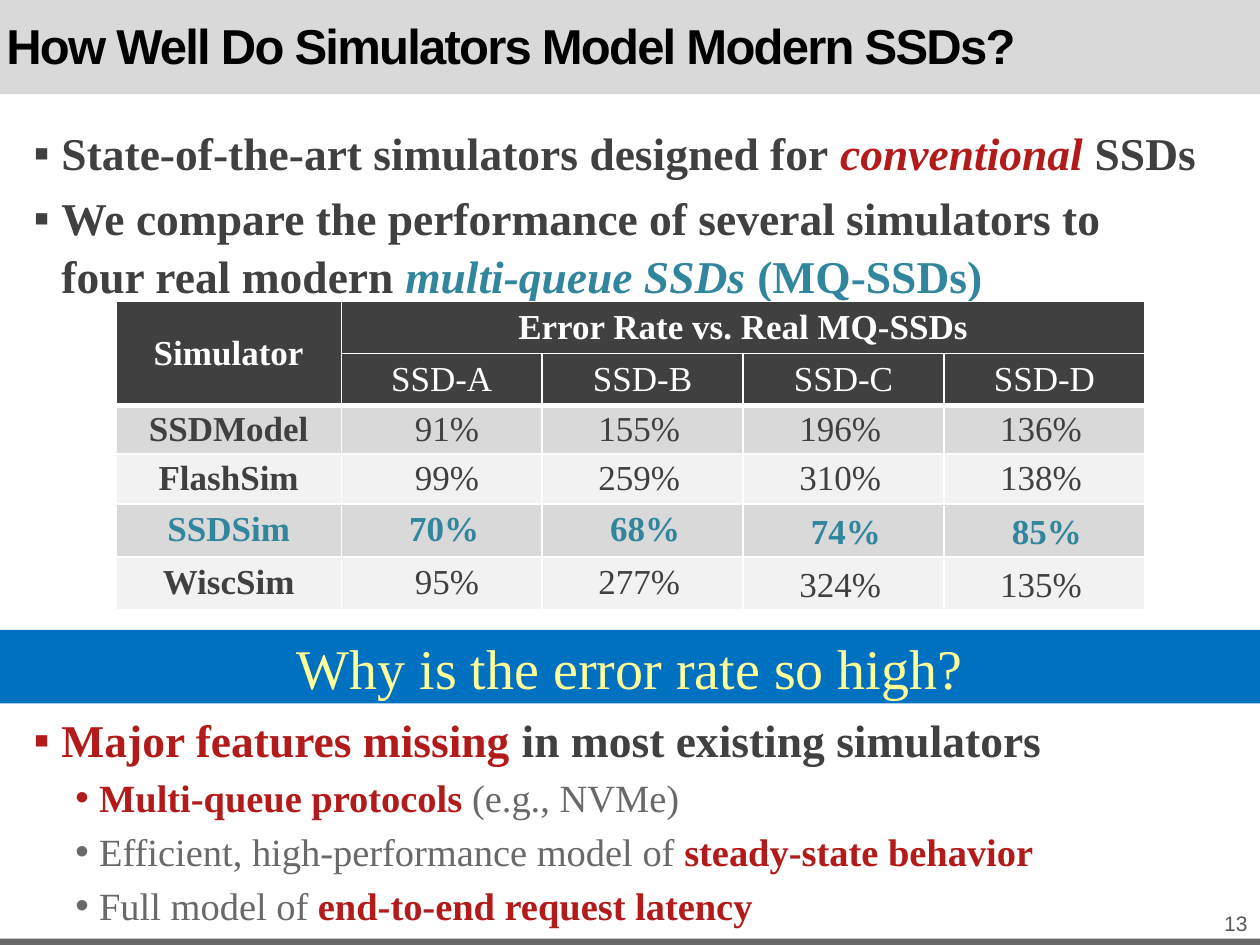
from lxml import etree
from pptx import Presentation
from pptx.dml.color import RGBColor
from pptx.enum.shapes import MSO_SHAPE
from pptx.enum.text import MSO_ANCHOR, PP_ALIGN
from pptx.oxml.ns import qn
from pptx.util import Cm, Pt

RECTANGLE = MSO_SHAPE.RECTANGLE
MIDDLE, TOP = MSO_ANCHOR.MIDDLE, MSO_ANCHOR.TOP
LEFT, CENTER, RIGHT = PP_ALIGN.LEFT, PP_ALIGN.CENTER, PP_ALIGN.RIGHT
SERIF, SANS = "Times New Roman", "Arial"
DARK, GRAY, RED, TEAL, WHITE = "404040", "696969", "B31B1B", "31859C", "FFFFFF"
LIGHT, PALE = "D9D9D9", "F2F2F2"
rgb = RGBColor.from_string


def add_run(paragraph, text, color, **font_format):
    run = paragraph.add_run()
    run.text = text
    run.font.color.rgb = rgb(color)
    for name, value in {"name": SERIF, **font_format}.items():
        setattr(run.font, name, value)
    return run


def add_text_box(left, top, width, height, anchor, margins):
    shape = slide.shapes.add_textbox(Cm(left), Cm(top), Cm(width), Cm(height))
    frame = shape.text_frame
    frame.word_wrap = True
    frame.vertical_anchor = anchor
    for side, margin in zip(("left", "top", "right", "bottom"), margins):
        setattr(frame, f"margin_{side}", Cm(margin))
    return frame


presentation = Presentation()
presentation.slide_width = Cm(25.4)
presentation.slide_height = Cm(19.05)
slide = presentation.slides.add_slide(presentation.slide_layouts[6])

bands = []
for top, height, color in [(0, 1.9, LIGHT), (18.92, 0.13, GRAY), (12.7, 1.48, "0070C0")]:
    shape = slide.shapes.add_shape(RECTANGLE, 0, Cm(top), Cm(25.4), Cm(height))
    shape.shadow.inherit = False
    shape.fill.solid()
    shape.fill.fore_color.rgb = rgb(color)
    shape.line.fill.background()
    bands.append(shape)

question = bands[-1].text_frame
question.vertical_anchor = MIDDLE
paragraph = question.paragraphs[0]
paragraph.alignment = CENTER
paragraph.space_after = Pt(18)
add_run(paragraph, "Why is the error rate so high?", "FFFF99", size=Pt(32))

title = add_text_box(0, 0.38, 22.02, 1.2, MIDDLE, (0.13, 0, 0.13, 0.13))
run = add_run(title.paragraphs[0], "How Well Do Simulators Model Modern SSDs?", "000000",
              name=SANS, size=Pt(28), bold=True)
run.font._element.set("spc", "-100")

number = add_text_box(21.59, 18.29, 3.81, 0.63, MIDDLE, (0.13, 0, 0.25, 0))
number.paragraphs[0].alignment = RIGHT
add_run(number.paragraphs[0], "13", "595959", name=SANS, size=Pt(12))

levels = [
    {"bullet": "▪", "margin": 0.56, "indent": -0.56, "space": 4.5, "size": 26},
    {"bullet": "•", "margin": 1.32, "indent": -0.48, "space": 3, "size": 22},
]
bullet_lists = [
    (2.34, 5, [
        (0, [("State-of-the-art simulators designed for ", DARK, True, False),
             ("conventional", RED, True, True), (" SSDs", DARK, True, False)]),
        (0, [("We compare the performance of several simulators to\nfour real modern ", DARK, True, False),
             ("multi-queue SSDs", TEAL, True, True), (" (MQ-SSDs)", TEAL, True, False)]),
    ]),
    (14.17, 4.4, [
        (0, [("Major features missing", RED, True, False),
             (" in most existing simulators", DARK, True, False)]),
        (1, [("Multi-queue protocols", RED, True, False), (" (e.g., NVMe)", GRAY, False, False)]),
        (1, [("Efficient, high-performance model of ", GRAY, False, False),
             ("steady-state behavior", RED, True, False)]),
        (1, [("Full model of ", GRAY, False, False),
             ("end-to-end request latency", RED, True, False)]),
    ]),
]
for top, height, items in bullet_lists:
    frame = add_text_box(0.43, top, 24.56, height, TOP, (0.25, 0.13, 0.25, 0.13))
    for index, (level, runs) in enumerate(items):
        style = levels[level]
        paragraph = frame.add_paragraph() if index else frame.paragraphs[0]
        paragraph.level = level
        paragraph.alignment = LEFT
        paragraph.line_spacing = 1.05
        paragraph.space_before = Pt(style["space"] if index else 0)
        properties = paragraph._p.get_or_add_pPr()
        properties.set("marL", str(Cm(style["margin"])))
        properties.set("indent", str(Cm(style["indent"])))
        etree.SubElement(properties, qn("a:buFont"), typeface=SANS)
        etree.SubElement(properties, qn("a:buChar"), char=style["bullet"])
        for text, color, bold, italic in runs:
            for line_index, line in enumerate(text.split("\n")):
                if line_index:
                    paragraph.add_line_break()
                add_run(paragraph, line, color, size=Pt(style["size"]), bold=bold, italic=italic)

rows = [
    ["Simulator", "Error Rate vs. Real MQ-SSDs", "", "", ""],
    ["", "SSD-A", "SSD-B", "SSD-C", "SSD-D"],
    ["SSDModel", "91%", "155%", "196%", "136%"],
    ["FlashSim", "99%", "259%", "310%", "138%"],
    ["SSDSim", "70%", "68%", "74%", "85%"],
    ["WiscSim", "95%", "277%", "324%", "135%"],
]
row_heights = [0.98, 0.98, 0.98, 1, 1.07, 1.07]
column_widths = [4.54] + [4.05] * 4
table = slide.shapes.add_table(
    len(rows), len(column_widths), Cm(2.34), Cm(6.08),
    Cm(sum(column_widths)), Cm(sum(row_heights))).table
table.first_row = False
table.horz_banding = False
for column, width in zip(table.columns, column_widths):
    column.width = Cm(width)
for row, height in zip(table.rows, row_heights):
    row.height = Cm(height)
table.cell(0, 0).merge(table.cell(1, 0))
table.cell(0, 1).merge(table.cell(0, 4))

for row_index, texts in enumerate(rows):
    header = row_index < 2
    for column_index, text in enumerate(texts):
        value = not header and column_index > 0
        highlighted = texts[0] == "SSDSim"
        cell = table.cell(row_index, column_index)
        cell_format = {
            "vertical_anchor": MIDDLE,
            "margin_left": Cm(0.18),
            "margin_right": Cm(1.27 if value else 0.18),
            "margin_top": Cm(0.1 if header else 0.18),
            "margin_bottom": Cm(0 if row_index > 3 and column_index > 2 else 0.1),
        }
        for name, setting in cell_format.items():
            setattr(cell, name, setting)
        properties = cell._tc.get_or_add_tcPr()
        for side in "LRTB":
            thick = (side == "T" and row_index == 2 and value) or (
                side == "B" and (row_index == 1 or (row_index, column_index) == (0, 0)))
            border = etree.SubElement(properties, qn(f"a:ln{side}"), w=str(Pt(3 if thick else 1)))
            fill = etree.SubElement(border, qn("a:solidFill"))
            etree.SubElement(fill, qn("a:srgbClr"), val=WHITE)
        cell.fill.solid()
        cell.fill.fore_color.rgb = rgb(DARK if header else PALE if row_index % 2 else LIGHT)
        if text:
            paragraph = cell.text_frame.paragraphs[0]
            paragraph.alignment = RIGHT if value else CENTER
            paragraph.line_spacing = 1.0 if header else 0.8
            add_run(paragraph, text, WHITE if header else TEAL if highlighted else DARK, size=Pt(20),
                    bold=row_index == 0 or column_index == 0 or highlighted)

presentation.save("out.pptx")
